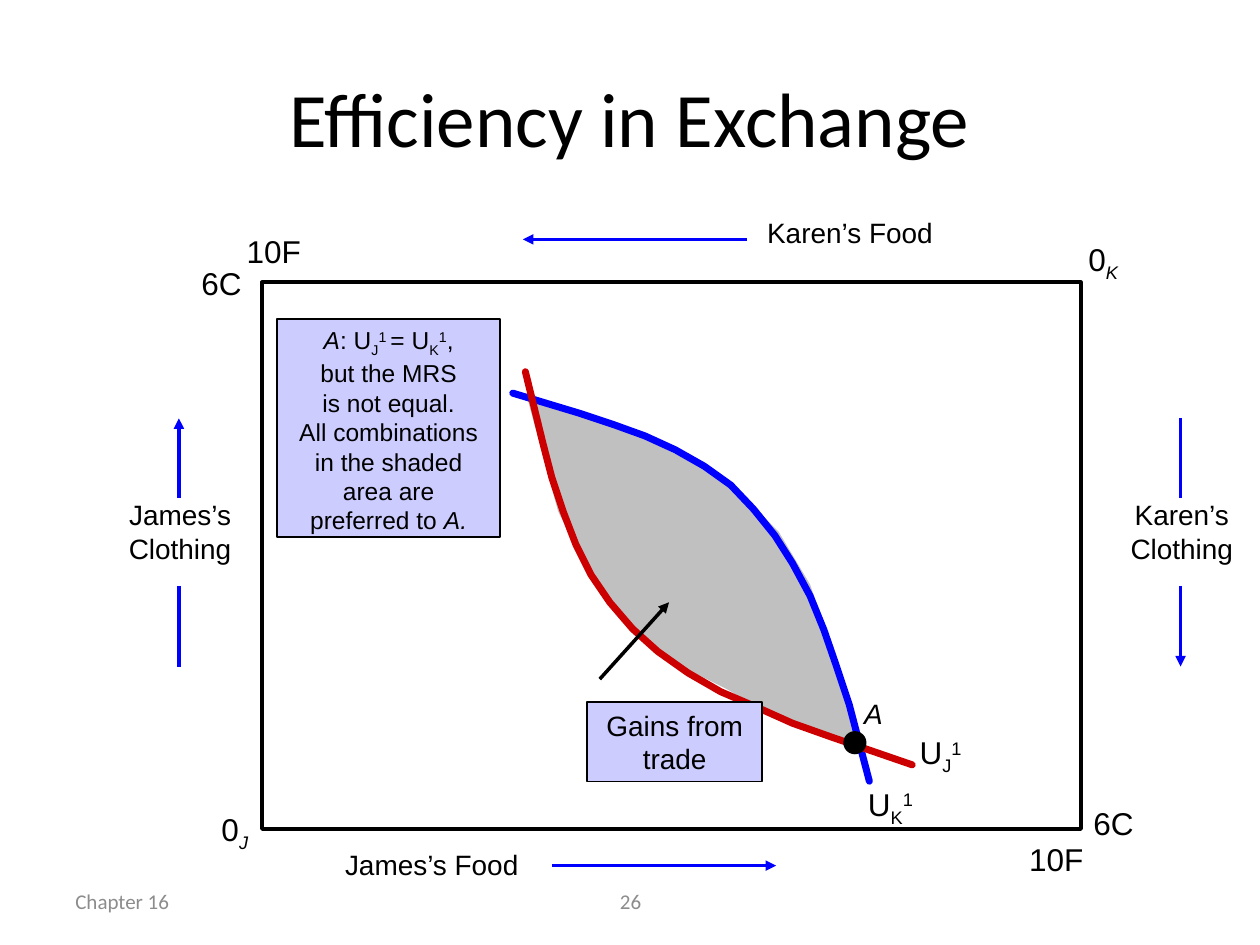
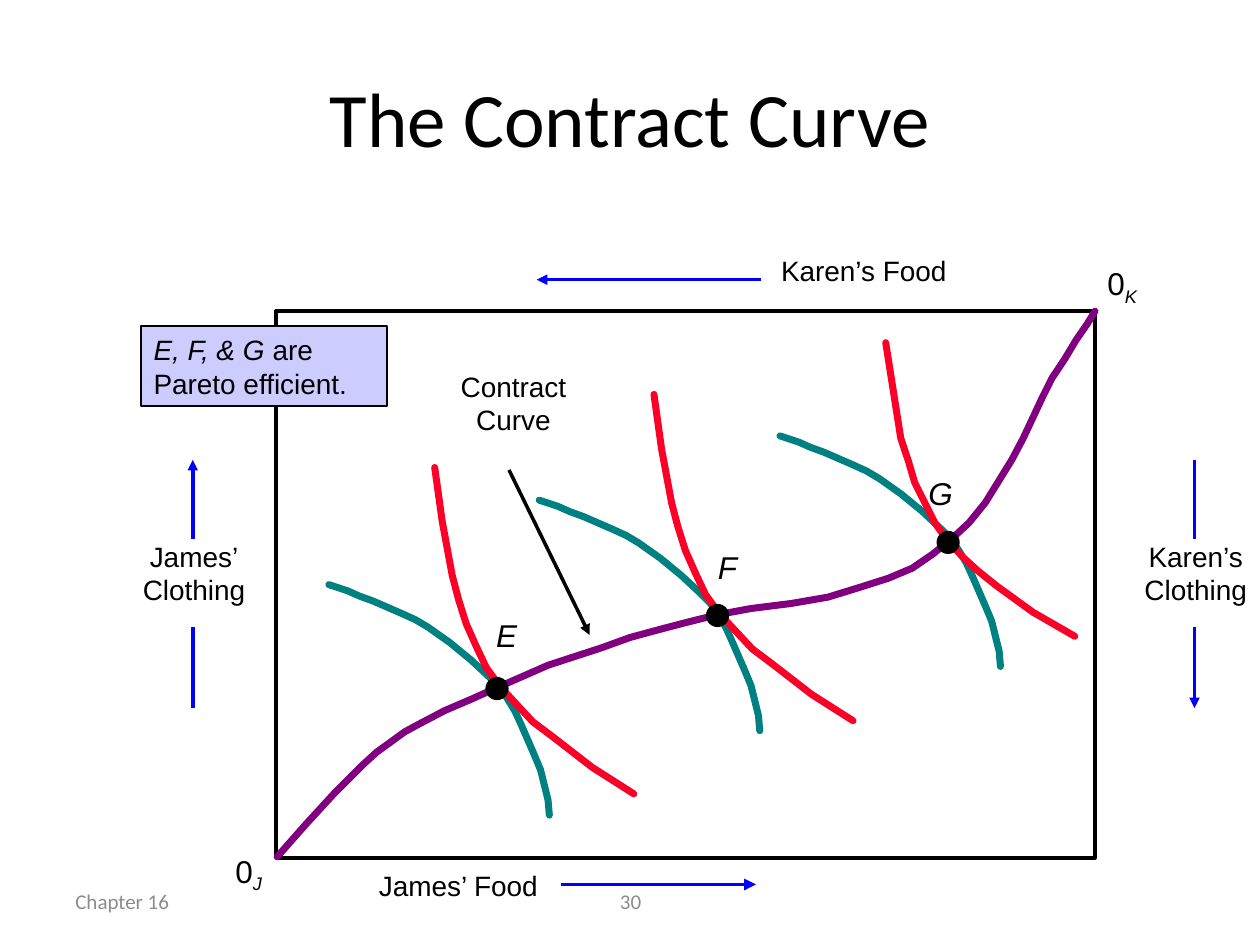
from lxml import etree
from pptx import Presentation
from pptx.dml.color import RGBColor
from pptx.enum.shapes import MSO_CONNECTOR, MSO_SHAPE
from pptx.enum.text import MSO_ANCHOR, MSO_AUTO_SIZE, PP_ALIGN
from pptx.oxml.ns import qn
from pptx.util import Inches, Pt

STRAIGHT = MSO_CONNECTOR.STRAIGHT
RECTANGLE, OVAL = MSO_SHAPE.RECTANGLE, MSO_SHAPE.OVAL
LEFT, CENTER = PP_ALIGN.LEFT, PP_ALIGN.CENTER
MIDDLE, TOP = MSO_ANCHOR.MIDDLE, MSO_ANCHOR.TOP
FIT, FIXED = MSO_AUTO_SIZE.SHAPE_TO_FIT_TEXT, MSO_AUTO_SIZE.NONE

BLACK, BLUE, GRAY, MUTED = "000000", "0000FF", "C0C0C0", "8C8C8C"
LILAC, DARK_RED, RED, TEAL, PURPLE = "CCCCFF", "CC0000", "FC0128", "008080", "800080"

FRAME_SIZE = (6.5, 4.34)
DOT = 0.17
CLOTHING_WIDTH = 1.1
SUB, SUPER = "-25000", "30000"
BASELINES = {"sub": SUB, "super": SUPER, "italic sub": SUB}

ORIGIN_J = [[("0", ""), ("J", "italic sub")]]
ORIGIN_K = [[("0", ""), ("K", "italic sub")]]
UTILITY_J = [[("U", ""), ("J", "sub"), ("1", "super")]]
UTILITY_K = [[("U", ""), ("K", "sub"), ("1", "super")]]
EQUAL_UTILITY = [
    [("A", "italic"), (": U", ""), ("J", "sub"), ("1 ", "super"),
     ("= U", ""), ("K", "sub"), ("1", "super"), (",", "")],
    "but the MRS", "is not equal.", "All combinations", "in the shaded", "area are",
    [("preferred to ", ""), ("A.", "italic")],
]
PARETO = [[("E, F, & G ", "italic"), ("are", "")], "Pareto efficient."]

GAINS_AREA = [(4.18, 3.14), (5.1, 3.47), (5.77, 3.81), (6.18, 4.22), (6.43, 4.64),
              (6.68, 5.39), (6.85, 5.97), (6.04, 5.63), (5.77, 5.47), (5.27, 5.22),
              (4.77, 4.72), (4.43, 4.06)]
KAREN_CURVE = [(4.07, 3.12), (4.6, 3.28), (4.87, 3.37), (5.12, 3.46), (5.36, 3.57),
               (5.59, 3.7), (5.8, 3.85), (5.98, 4.04), (6.15, 4.25), (6.29, 4.47),
               (6.43, 4.73), (6.54, 5), (6.64, 5.29), (6.74, 5.59), (6.9, 6.2)]
JAMES_CURVE = [(4.17, 2.95), (4.31, 3.52), (4.38, 3.79), (4.47, 4.06), (4.57, 4.32),
               (4.69, 4.56), (4.84, 4.78), (5.02, 4.99), (5.22, 5.17), (5.46, 5.34),
               (5.72, 5.49), (6, 5.61), (6.29, 5.74), (6.6, 5.85), (7.24, 6.07)]
CONTRACT_CURVE = [
    (2.2, 6.8), (2.43, 6.54), (2.65, 6.3), (2.88, 6.07), (2.99, 5.97), (3.1, 5.89),
    (3.21, 5.81), (3.32, 5.75), (3.53, 5.64), (3.74, 5.55), (3.94, 5.46), (4.35, 5.28),
    (4.78, 5.14), (5, 5.06), (5.22, 5), (5.45, 4.94), (5.69, 4.88), (5.96, 4.83),
    (6.28, 4.79), (6.57, 4.74), (6.7, 4.7), (6.83, 4.66), (7.05, 4.59), (7.24, 4.51),
    (7.4, 4.4), (7.55, 4.28), (7.69, 4.15), (7.82, 3.99), (8.03, 3.65), (8.12, 3.48),
    (8.2, 3.31), (8.27, 3.16), (8.35, 3), (8.45, 2.85), (8.54, 2.7), (8.63, 2.57),
    (8.69, 2.47)]
KAREN_BEND = [(0, 0), (0.06, 0.02), (0.15, 0.05), (0.24, 0.09), (0.35, 0.13),
              (0.58, 0.23), (0.69, 0.28), (0.79, 0.34), (0.96, 0.46), (1.13, 0.6),
              (1.28, 0.74), (1.36, 0.82), (1.42, 0.91), (1.48, 1.01), (1.53, 1.12),
              (1.63, 1.35), (1.68, 1.47), (1.71, 1.59), (1.74, 1.71), (1.75, 1.83)]
JAMES_BEND = [(0, 0), (0.06, 0.43), (0.14, 0.86), (0.19, 1.05), (0.25, 1.24),
              (0.33, 1.42), (0.41, 1.59), (0.52, 1.74), (0.65, 1.88), (0.78, 2.02),
              (0.94, 2.14), (1.25, 2.38), (1.58, 2.59)]
JAMES_BEND_G = [(0, 0), (0.06, 0.38), (0.12, 0.76), (0.18, 0.94), (0.23, 1.11),
                (0.31, 1.27), (0.39, 1.43), (0.49, 1.57), (0.61, 1.7), (0.73, 1.81),
                (0.88, 1.93), (1.17, 2.14), (1.5, 2.33)]

TANGENCIES = [
    ("E", (3.84, 4.84), (3.86, 5.38), (2.61, 4.64), (3.45, 3.71), JAMES_BEND),
    ("F", (5.6, 4.3), (5.61, 4.8), (4.28, 3.97), (5.19, 3.13), JAMES_BEND),
    ("G", (7.27, 3.71), (7.44, 4.22), (6.19, 3.46), (7.03, 2.72), JAMES_BEND_G),
]

EXCHANGE = {
    "title": "Efficiency in Exchange", "number": "26", "frame": (2.08, 2.24),
    "areas": [GAINS_AREA],
    "curves": [(KAREN_CURVE, BLUE), (JAMES_CURVE, DARK_RED)],
    "clothing": [("James’s", 0.88, 3.9, True), ("Karen’s", 8.83, 3.9, False)],
    "arrows": [((5.93, 1.9), (4.15, 1.9), BLUE, 2), ((4.38, 6.87), (6.16, 6.87), BLUE, 2),
               ((4.76, 5.39), (5.31, 4.78), BLACK, 2)],
    "dots": [(6.7, 5.81)],
    "notes": [(2.2, 2.53, 1.77, EQUAL_UTILITY, 14, CENTER),
              (4.66, 5.57, 1.39, ["Gains from", "trade"], 16, CENTER)],
    "labels": [(5.99, 1.66, 1.62, ["Karen’s Food"], 16), (2.64, 6.68, 1.68, ["James’s Food"], 16),
               (6.79, 6.18, 0.59, UTILITY_K, 18), (7.2, 5.77, 0.56, UTILITY_J, 18),
               (1.86, 1.79, 0.63, ["10F"], 18), (8.07, 6.62, 0.63, ["10F"], 18),
               (1.5, 2.05, 0.52, ["6C"], 18), (8.58, 6.33, 0.52, ["6C"], 18),
               (8.54, 1.86, 0.46, ORIGIN_K, 18), (1.66, 6.38, 0.43, ORIGIN_J, 18),
               (6.76, 5.48, 0.36, [[("A", "italic")]], 16)],
}


def shifted(points, start):
    return [(start[0] + x, start[1] + y) for x, y in points]


def tangent_curves():
    for _, _, _, karen_start, james_start, james_bend in TANGENCIES:
        yield shifted(KAREN_BEND, karen_start), TEAL
        yield shifted(james_bend, james_start), RED


CONTRACT = {
    "title": "The Contract Curve", "number": "30", "frame": (2.19, 2.47),
    "areas": [],
    "curves": [(CONTRACT_CURVE, PURPLE), *tangent_curves()],
    "clothing": [("James’", 0.99, 4.23, True), ("Karen’s", 8.94, 4.23, False)],
    "arrows": [((6.04, 2.22), (4.26, 2.22), BLUE, 2), ((4.45, 7.02), (6, 7.02), BLUE, 2.25),
               ((4.04, 3.73), (4.68, 5.04), BLACK, 2)],
    "dots": [dot for _, _, dot, *_ in TANGENCIES],
    "notes": [(1.12, 2.59, 1.95, PARETO, 16, LEFT)],
    "labels": [(6.1, 1.96, 1.62, ["Karen’s Food"], 16), (2.91, 6.84, 1.56, ["James’ Food"], 16),
               (8.69, 2.05, 0.46, ORIGIN_K, 18), (1.77, 6.71, 0.43, ORIGIN_J, 18),
               (3.52, 2.88, 1.11, ["Contract", "Curve"], 16, CENTER)]
              + [(*place, 0.36, [[(name, "italic")]], 18) for name, place, *_ in TANGENCIES],
}


def color(code):
    return RGBColor.from_string(code)


def apply(target, values):
    for name, value in values.items():
        setattr(target, name, value)


def write(shape, paragraphs, size, align=LEFT, face="Arial", ink=BLACK, **frame_format):
    frame = shape.text_frame
    apply(frame, {"word_wrap": False, "auto_size": FIT, "vertical_anchor": TOP, **frame_format})
    for index, content in enumerate(paragraphs):
        para = frame.add_paragraph() if index else frame.paragraphs[0]
        para.alignment = align
        for text, style in [(content, "")] if isinstance(content, str) else content:
            span = para.add_run()
            span.text = text
            apply(span.font, {"name": face, "size": Pt(size), "italic": "italic" in style})
            span.font.color.rgb = color(ink)
            if style in BASELINES:
                span.font._element.set("baseline", BASELINES[style])


def add_text(page, left, top, width, height, paragraphs, size, **style):
    box = page.shapes.add_textbox(*map(Inches, (left, top, width, height)))
    write(box, paragraphs, size, **style)


def text_height(paragraphs, size):
    return 0.1 + len(paragraphs) * size * 1.2 / 72


def add_label(page, left, top, width, paragraphs, size, align=LEFT):
    add_text(page, left, top, width, text_height(paragraphs, size), paragraphs, size, align=align)


def paint(shape, fill=None, line=None, weight=1):
    shape.shadow.inherit = False
    for part, code in ((shape.fill, fill), (shape.line.fill, line)):
        if code:
            part.solid()
            part.fore_color.rgb = color(code)
        else:
            part.background()
    if line:
        shape.line.width = Pt(weight)


def add_figure(page, kind, left, top, width, height, **style):
    shape = page.shapes.add_shape(kind, *map(Inches, (left, top, width, height)))
    paint(shape, **style)
    return shape


def add_outline(page, points, close, **style):
    start, *rest = [(round(x * 100), round(y * 100)) for x, y in points]
    builder = page.shapes.build_freeform(*start, scale=Inches(0.01))
    builder.add_line_segments(rest, close=close)
    shape = builder.convert_to_shape()
    paint(shape, **style)
    return shape


def add_curve(page, points, ink):
    curve = add_outline(page, points, False, line=ink, weight=4)
    stroke = curve.line._get_or_add_ln()
    stroke.set("cap", "rnd")
    etree.SubElement(stroke, qn("a:round"))


def add_line(page, start, end, ink, weight, arrow=True):
    line = page.shapes.add_connector(STRAIGHT, *map(Inches, (*start, *end)))
    line.line.color.rgb = color(ink)
    line.line.width = Pt(weight)
    if arrow:
        etree.SubElement(line.line._get_or_add_ln(), qn("a:tailEnd"), type="triangle")
    etree.SubElement(line._element.spPr, qn("a:effectLst"))


def add_clothing_axis(page, owner, left, top, upward):
    add_label(page, left, top, CLOTHING_WIDTH, [owner, "Clothing"], 16, CENTER)
    x = left + CLOTHING_WIDTH / 2 - 0.01
    upper, lower = (top - 0.58, top + 0.05), (top + 0.75, top + 1.39)
    for (high, low), arrow in ((upper, upward), (lower, not upward)):
        start, end = (low, high) if upward else (high, low)
        add_line(page, (x, start), (x, end), BLUE, 2, arrow)


def add_page(deck, content):
    page = deck.slides.add_slide(deck.slide_layouts[6])
    fixed = {"word_wrap": True, "auto_size": FIXED, "vertical_anchor": MIDDLE, "face": "Calibri"}
    add_text(page, 0.5, 0.3, 9, 1.25, [content["title"]], 44, align=CENTER, **fixed)
    add_text(page, 0.5, 6.95, 2.33, 0.4, ["Chapter 16"], 12, ink=MUTED, **fixed)
    add_text(page, 3.42, 6.95, 3.17, 0.4, [content["number"]], 12, align=CENTER, ink=MUTED, **fixed)
    for points in content["areas"]:
        add_outline(page, points, True, fill=GRAY)
    add_figure(page, RECTANGLE, *content["frame"], *FRAME_SIZE, line=BLACK, weight=2)
    for axis in content["clothing"]:
        add_clothing_axis(page, *axis)
    for points, ink in content["curves"]:
        add_curve(page, points, ink)
    for left, top, width, paragraphs, size, align in content["notes"]:
        note = add_figure(page, RECTANGLE, left, top, width, text_height(paragraphs, size),
                          fill=LILAC, line=BLACK)
        write(note, paragraphs, size, align)
    for arrow in content["arrows"]:
        add_line(page, *arrow)
    for dot in content["dots"]:
        add_figure(page, OVAL, *dot, DOT, DOT, fill=BLACK, line=BLACK)
    for label in content["labels"]:
        add_label(page, *label)


def main():
    deck = Presentation()
    deck.slide_width, deck.slide_height = Inches(10), Inches(7.5)
    for content in (EXCHANGE, CONTRACT):
        add_page(deck, content)
    deck.save("out.pptx")


if __name__ == "__main__":
    main()
